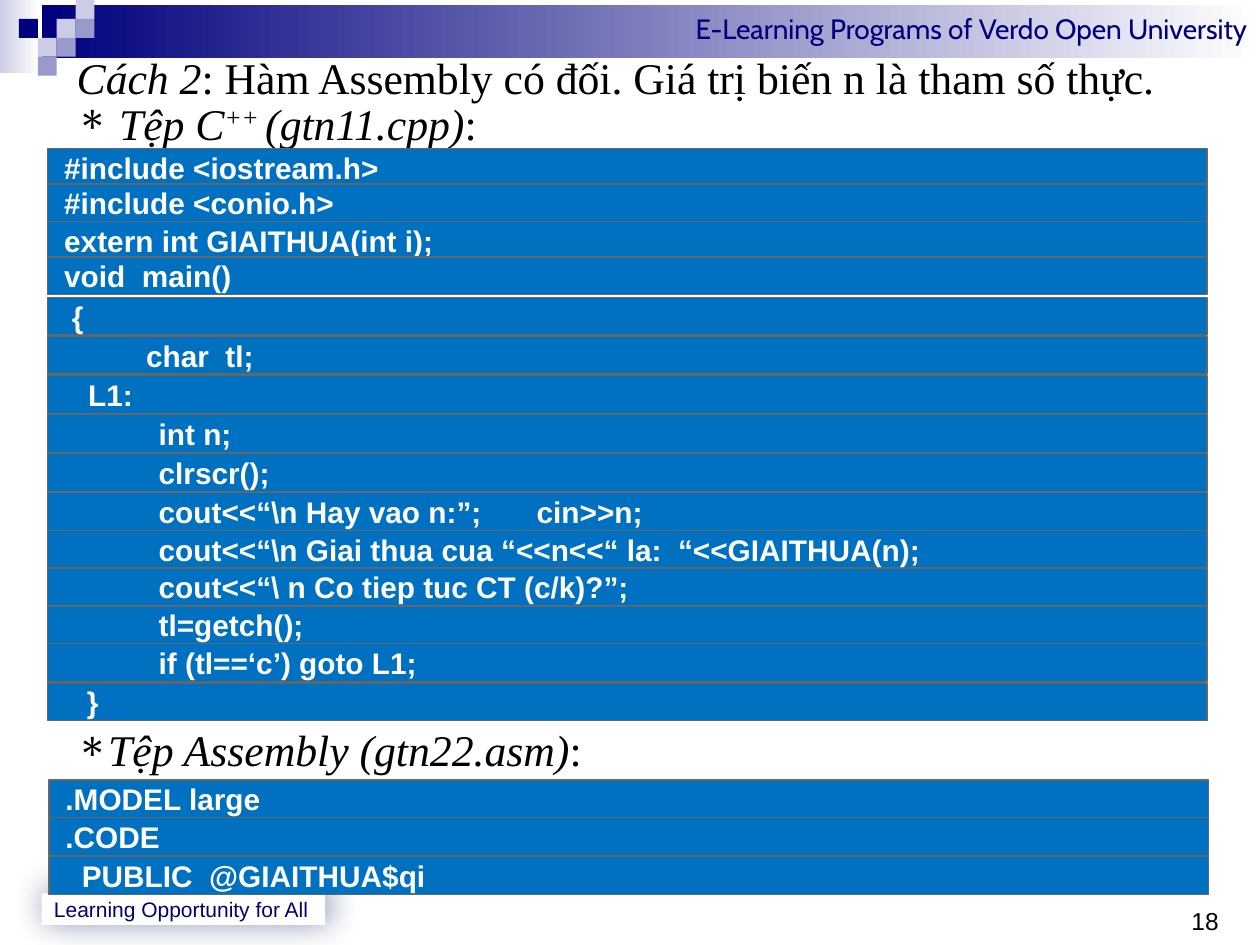
from dataclasses import dataclass

from lxml import etree
from pptx import Presentation
from pptx import util as u
from pptx.dml import color
from pptx.enum import shapes, text
from pptx.oxml import ns

NAVY, LILAC, PALE, WHITE, BLACK = "00007D", "9999CC", "CCCCE6", "FFFFFF", "000000"
BLUE, GRAY = "0070C0", "666666"
SQUARE = 0.15


@dataclass
class Style:
    font: str
    size: float
    color: str
    bold: bool = False


@dataclass
class Piece:
    words: str
    italic: bool = False
    baseline: int = 0


@dataclass
class CodeLine:
    top: float
    words: str
    indent: float = 0.13
    left: float = 0.38


@dataclass
class Square:
    column: int
    row: int
    fill: str


HEADER = Style("Cabin", 16, NAVY)
FOOTER = Style("Arial", 12, "000072")
NUMBER = Style("Arial", 14, BLACK)
BODY = Style("Times New Roman", 25, BLACK)
CODE = Style("Arial", 17, WHITE, True)

SQUARES = [
    Square(3, 1, PALE), Square(4, 0, PALE), Square(4, 1, LILAC), Square(2, 2, PALE),
    Square(1, 1, NAVY), Square(3, 2, LILAC), Square(2, 3, LILAC),
]

CODE_LINES = [
    CodeLine(1.18, "#include <iostream.h>"),
    CodeLine(1.46, "#include <conio.h>"),
    CodeLine(1.76, "extern int GIAITHUA(int i);"),
    CodeLine(2.36, "{", 0.19),
    CodeLine(2.04, "void  main()"),
    CodeLine(2.67, "char  tl;", 0.78),
    CodeLine(2.98, "L1:", 0.32),
    CodeLine(3.6, "clrscr();", 0.88),
    CodeLine(3.91, "cout<<“\\n Hay vao n:”;\tcin>>n;", 0.88),
    CodeLine(4.21, "cout<<“\\n Giai thua cua “<<n<<“ la:  “<<GIAITHUA(n);", 0.88),
    CodeLine(4.51, "cout<<“\\ n Co tiep tuc CT (c/k)?”;", 0.88),
    CodeLine(4.81, "tl=getch();", 0.88),
    CodeLine(5.11, "if (tl==‘c’) goto L1;", 0.88),
    CodeLine(5.42, "}", 0.31),
    CodeLine(3.29, "int n;", 0.88),
    CodeLine(6.19, ".MODEL large", left=0.39),
    CodeLine(6.49, ".CODE", left=0.39),
    CodeLine(6.8, "PUBLIC  @GIAITHUA$qi", 0.26, 0.39),
]


def rgb(value: str) -> color.RGBColor:
    return color.RGBColor.from_string(value)


def add_element(parent, tag: str, **attributes: str):
    element = etree.SubElement(parent, ns.qn(tag))
    for name, value in attributes.items():
        element.set(name, value)
    return element


def add_box(slide, left: float, top: float, width: float, height: float,
            fills: tuple = (), line: str = "", kind=shapes.MSO_SHAPE.RECTANGLE):
    shape = slide.shapes.add_shape(
        kind, u.Inches(left), u.Inches(top), u.Inches(width), u.Inches(height))
    shape.shadow.inherit = False
    if len(fills) == 2:
        shape.fill.gradient()
        shape.fill.gradient_angle = 0
        for stop, value in zip(shape.fill.gradient_stops, fills):
            stop.color.rgb = rgb(value)
    elif fills:
        shape.fill.solid()
        shape.fill.fore_color.rgb = rgb(fills[0])
    else:
        shape.fill.background()
    if line:
        shape.line.color.rgb = rgb(line)
        shape.line.width = u.Pt(0.75)
    else:
        shape.line.fill.background()
    return shape


def prepare_frame(shape, anchor=text.MSO_ANCHOR.TOP):
    frame = shape.text_frame
    frame.word_wrap = True
    frame.vertical_anchor = anchor
    return frame


def write(paragraph, pieces: list[Piece], style: Style,
          align=text.PP_ALIGN.LEFT, indent: float = 0):
    paragraph.alignment = align
    properties = paragraph._p.get_or_add_pPr()
    properties.set("marL", str(u.Inches(indent)))
    properties.set("indent", "0")
    for piece in pieces:
        run = paragraph.add_run()
        run.text = piece.words
        run.font.name = style.font
        run.font.size = u.Pt(style.size)
        run.font.color.rgb = rgb(style.color)
        run.font.bold = style.bold
        run.font.italic = piece.italic
        if piece.baseline:
            run._r.get_or_add_rPr().set("baseline", str(piece.baseline * 1000))
    return properties


def add_body(slide, top: float, height: float, rows: list[tuple[bool, list[Piece]]]):
    box = slide.shapes.add_textbox(
        u.Inches(0.38), u.Inches(top), u.Inches(9.62), u.Inches(height))
    frame = prepare_frame(box)
    for index, (bulleted, pieces) in enumerate(rows):
        paragraph = frame.add_paragraph() if index else frame.paragraphs[0]
        paragraph.line_spacing = u.Pt(26)
        properties = write(paragraph, pieces, BODY, indent=0.13)
        if bulleted:
            add_element(properties, "a:buChar", char="∗")


def add_code(slide, line: CodeLine):
    shape = add_box(slide, line.left, line.top, 9.2, 0.3, (BLUE,), GRAY)
    frame = prepare_frame(shape, text.MSO_ANCHOR.MIDDLE)
    frame.margin_left = frame.margin_right = frame.margin_top = frame.margin_bottom = 0
    properties = write(frame.paragraphs[0], [Piece(line.words)], CODE, indent=line.indent)
    if "\t" in line.words:
        stops = add_element(properties, "a:tabLst")
        add_element(stops, "a:tab", pos=str(u.Inches(3.84)), algn="l")


def add_header(slide):
    add_box(slide, 0, 0, 0.31, 0.58, (PALE, WHITE))
    banner = add_box(slide, 0.33, 0.04, 9.67, 0.42, (NAVY, WHITE))
    write(prepare_frame(banner).paragraphs[0],
          [Piece("E-Learning Programs of Verdo Open University")],
          HEADER, text.PP_ALIGN.RIGHT)
    for square in SQUARES:
        add_box(slide, square.column * SQUARE, square.row * SQUARE,
                SQUARE, SQUARE, (square.fill,))


def add_footer(slide):
    motto = add_box(slide, 0.33, 7.09, 2.25, 0.25, (WHITE,))
    effects = motto._element.spPr.find(ns.qn("a:effectLst"))
    shadow = add_element(effects, "a:outerShdw", blurRad=str(u.Pt(19)), dist=str(u.Pt(3)),
                         dir=str(315 * 60000), algn="bl", rotWithShape="0")
    tint = add_element(shadow, "a:srgbClr", val="002060")
    add_element(tint, "a:alpha", val="56000")
    write(prepare_frame(motto, text.MSO_ANCHOR.MIDDLE).paragraphs[0],
          [Piece("Learning Opportunity for All")], FOOTER)
    number = add_box(slide, 9.27, 7.09, 0.6, 0.34, kind=shapes.MSO_SHAPE.OVAL)
    frame = prepare_frame(number)
    frame.margin_right = 0
    write(frame.paragraphs[0], [Piece("18")], NUMBER)


def main():
    presentation = Presentation()
    presentation.slide_width, presentation.slide_height = u.Inches(10), u.Inches(7.5)
    slide = presentation.slides.add_slide(presentation.slide_layouts[6])
    add_header(slide)
    add_footer(slide)
    add_body(slide, 0.41, 0.82, [
        (False, [Piece("Cách 2", True),
                 Piece(": Hàm Assembly có đối. Giá trị biến n là tham số thực.")]),
        (True, [Piece(" "), Piece("Tệp C", True), Piece("++ ", True, 30),
                Piece("(gtn11.cpp)", True), Piece(":")]),
    ])
    add_body(slide, 5.74, 0.46, [(True, [Piece("Tệp Assembly (gtn22.asm)", True), Piece(":")])])
    for line in CODE_LINES:
        add_code(slide, line)
    presentation.save("out.pptx")


if __name__ == "__main__":
    main()
